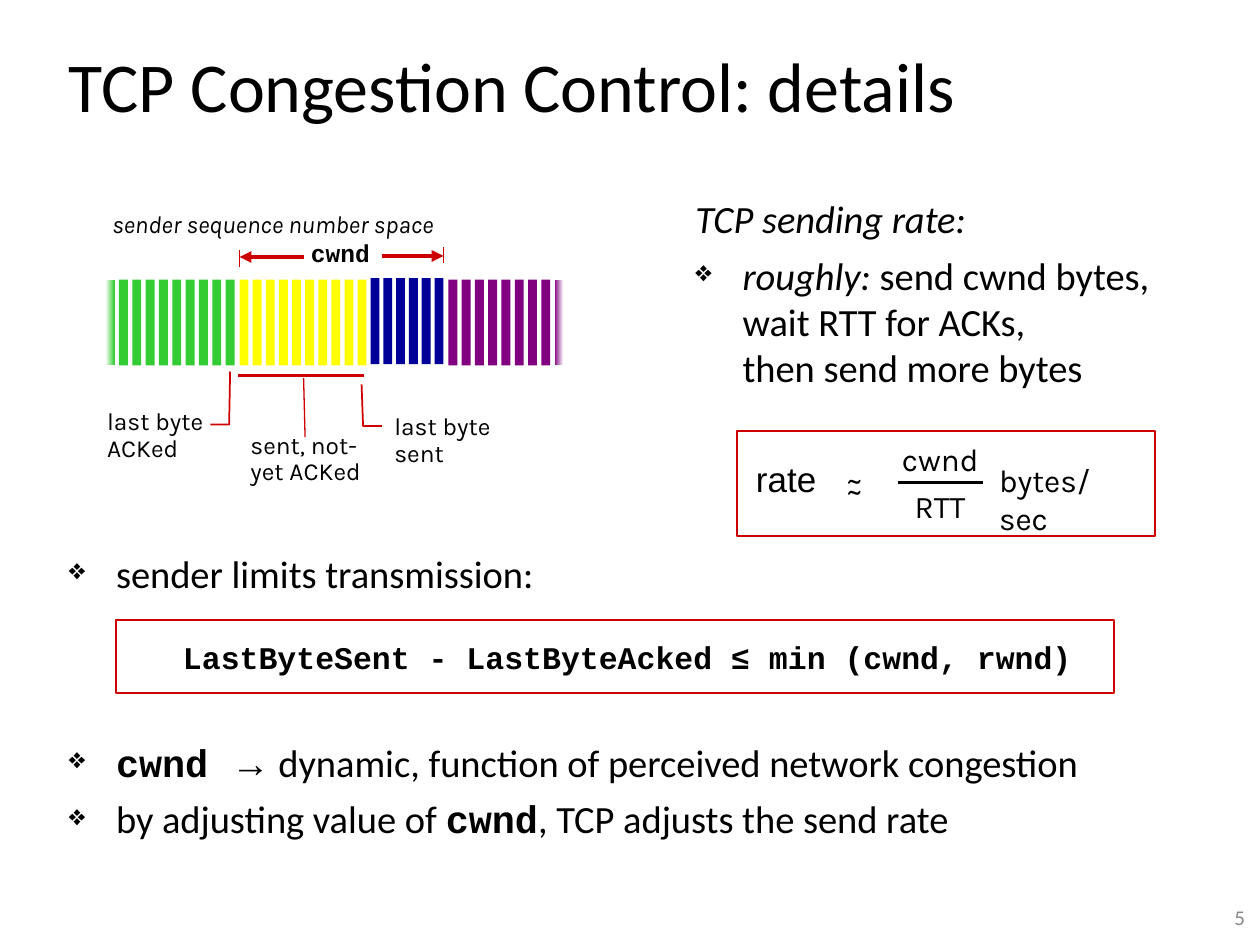
from typing import NamedTuple, Optional

from lxml import etree
from pptx import Presentation
from pptx.dml.color import RGBColor
from pptx.enum.shapes import MSO_CONNECTOR, MSO_SHAPE
from pptx.enum.text import MSO_ANCHOR, PP_ALIGN
from pptx.oxml.ns import qn
from pptx.util import Cm, Pt

RECT = MSO_SHAPE.RECTANGLE
STRAIGHT = MSO_CONNECTOR.STRAIGHT
TOP, MIDDLE = MSO_ANCHOR.TOP, MSO_ANCHOR.MIDDLE
LEFT, CENTER, RIGHT = PP_ALIGN.LEFT, PP_ALIGN.CENTER, PP_ALIGN.RIGHT

COLORS = {
    "text": "000000", "number": "898989", "white": "FFFFFF", "red": "CC0000",
    "green": "33CC33", "yellow": "FFFF00", "blue": "000099", "purple": "800080",
}
BODY, MONO, SANS, LABEL = "Calibri", "Courier New", "Arial", "Karla"
BODY_SIZE = 22
BAR_WIDTH, BAR_HEIGHT = 0.18, 1.73


class Run(NamedTuple):
    text: str  # a newline is a line break
    font: str = BODY
    size: float = BODY_SIZE
    bold: bool = False
    italic: bool = False
    color: str = "text"


class Para(NamedTuple):
    runs: list[Run]
    bullet: bool = False
    before: float = 0
    spacing: float = 1.0
    align: PP_ALIGN = LEFT


class Box(NamedTuple):
    left: float
    top: float
    width: float
    height: float
    paras: list[Para]
    wrap: bool = True
    anchor: MSO_ANCHOR = TOP


class Line(NamedTuple):
    x1: float
    y1: float
    x2: float
    y2: float
    weight: float
    color: str = "red"
    arrow: bool = False


class Band(NamedTuple):
    color: str
    first: float
    last: float
    count: int
    top: float = 5.64
    fade: Optional[str] = None  # the end that fades to white


def label(left: float, top: float, width: float, height: float, *lines: str,
          font: str = LABEL, size: float = 14, bold: bool = False,
          italic: bool = False, spacing: float = 1.0, wrap: bool = False) -> Box:
    """Describe a small box of plain lines in one style."""
    paras = [Para([Run(t, font, size, bold, italic)], spacing=spacing) for t in lines]
    return Box(left, top, width, height, paras, wrap)


BOXES = [
    Box(1.14, 0.64, 21.59, 2.13, [
        Para([Run("TCP Congestion Control: details", size=40)])], anchor=MIDDLE),
    Box(1.14, 11.15, 21.92, 5.99, [
        Para([Run("sender limits transmission:")], True, spacing=0.8),
        Para([Run("cwnd ", MONO, bold=True), Run("→", SANS),
              Run(" dynamic, function of perceived network congestion")],
             True, before=86.5, spacing=0.8),
        Para([Run("by adjusting value of "), Run("cwnd", MONO, bold=True),
              Run(", TCP adjusts the send rate")], True, before=6)]),
    Box(13.77, 3.81, 10.59, 4.78, [
        Para([Run("TCP sending rate:", italic=True)]),
        Para([Run("roughly:", italic=True),
              Run(" send cwnd bytes, wait RTT for ACKs,\nthen send more bytes")],
             True, before=6)]),
    Box(3.07, 12.85, 19.15, 0.91, [
        Para([Run("LastByteSent - LastByteAcked ≤ min (cwnd, rwnd)", MONO, 18, True)],
             spacing=0.85, align=CENTER)]),
    Box(24.08, 17.96, 1.27, 1.07, [
        Para([Run("5", size=12, color="number")], align=RIGHT)], anchor=MIDDLE),
    # sequence number space
    label(2.01, 4.09, 7.52, 0.86, "sender sequence number space", italic=True),
    label(6.02, 4.75, 1.7, 0.79, "cwnd", font=MONO, bold=True, spacing=0.9),
    label(1.91, 8.13, 2.46, 1.32, "last byte", "ACKed", spacing=0.9),
    label(4.8, 8.61, 2.97, 1.32, "sent, not-yet ACKed", spacing=0.9, wrap=True),
    label(7.7, 8.23, 2.97, 1.32, "last byte sent", spacing=0.9, wrap=True),
    # rate formula
    label(14.99, 9.09, 1.73, 1.12, "rate", font=SANS, size=20),
    label(16.81, 9.14, 2.59, 1.02, "~", size=18, wrap=True),
    label(16.81, 9.37, 2.59, 1.02, "~", size=18, wrap=True),
    label(17.93, 8.74, 2.08, 1.02, "cwnd", size=18),
    label(18.19, 9.7, 1.6, 1.02, "RTT", size=18),
    label(19.89, 9.17, 2.8, 1.02, "bytes/sec", size=18, wrap=True),
]
FRAMES = [(2.34, 12.5, 20.12, 1.47), (14.86, 8.69, 8.43, 2.11)]
BANDS = [
    Band("green", 2.13, 4.55, 10, fade="first"),
    Band("yellow", 4.83, 7.21, 10),
    Band("blue", 7.47, 8.76, 6, top=5.61),
    Band("purple", 9.04, 11.18, 9, fade="last"),
]
LINES = [
    Line(4.8, 7.57, 7.34, 7.57, 2.25),
    Line(6.12, 7.62, 6.15, 8.81, 0.75),
    Line(7.7, 5.16, 8.94, 5.16, 2.25, arrow=True),
    Line(8.94, 4.98, 8.94, 5.31, 0.75),
    Line(6.12, 5.18, 4.83, 5.18, 2.25, arrow=True),
    Line(4.83, 5.38, 4.83, 5.03, 0.75),
    Line(18.11, 9.73, 19.81, 9.73, 1.5, "text"),
]
ELBOWS = [
    [(4.64, 7.49), (4.62, 8.56), (4.24, 8.56)],
    [(7.29, 7.75), (7.32, 8.59), (7.7, 8.59)],
]


def rgb(name: str) -> RGBColor:
    return RGBColor.from_string(COLORS[name])


def add_bullet(p) -> None:
    pPr = p._p.get_or_add_pPr()
    pPr.set("marL", str(Cm(0.95)))
    pPr.set("indent", str(Cm(-0.95)))
    color = etree.SubElement(pPr, qn("a:buClr"))
    etree.SubElement(color, qn("a:srgbClr"), val=COLORS["text"])
    etree.SubElement(pPr, qn("a:buSzPct"), val="75000")
    etree.SubElement(pPr, qn("a:buChar"), char="❖")


def add_run(p, run: Run) -> None:
    for i, text in enumerate(run.text.split("\n")):
        if i:
            p.add_line_break()
        r = p.add_run()
        r.text = text
        font = r.font
        font.name, font.size = run.font, Pt(run.size)
        font.bold, font.italic = run.bold, run.italic
        font.color.rgb = rgb(run.color)


def draw_box(s, box: Box) -> None:
    sp = s.shapes.add_textbox(Cm(box.left), Cm(box.top), Cm(box.width), Cm(box.height))
    tf = sp.text_frame
    tf.word_wrap, tf.vertical_anchor = box.wrap, box.anchor
    for i, para in enumerate(box.paras):
        p = tf.add_paragraph() if i else tf.paragraphs[0]
        if para.bullet:
            add_bullet(p)
        p.alignment, p.line_spacing = para.align, para.spacing
        p.space_before = Pt(para.before)
        for run in para.runs:
            add_run(p, run)


def draw_outline(sp) -> None:
    sp.shadow.inherit = False
    sp.fill.background()
    sp.line.color.rgb = rgb("red")
    sp.line.width = Pt(1)


def draw_band(s, band: Band) -> None:
    pitch = (band.last - band.first) / (band.count - 1)
    faded = {"first": 0, "last": band.count - 1}.get(band.fade)
    for i in range(band.count):
        sp = s.shapes.add_shape(RECT, Cm(band.first + i * pitch), Cm(band.top),
                                Cm(BAR_WIDTH), Cm(BAR_HEIGHT))
        sp.shadow.inherit = False
        sp.line.fill.background()
        if i == faded:
            sp.fill.gradient()
            sp.fill.gradient_angle = 0
            ends = ("white", band.color) if i == 0 else (band.color, "white")
            for stop, color in zip(sp.fill.gradient_stops, ends):
                stop.color.rgb = rgb(color)
        else:
            sp.fill.solid()
            sp.fill.fore_color.rgb = rgb(band.color)


def draw_line(s, line: Line) -> None:
    c = s.shapes.add_connector(STRAIGHT, Cm(line.x1), Cm(line.y1), Cm(line.x2), Cm(line.y2))
    c.line.color.rgb = rgb(line.color)
    c.line.width = Pt(line.weight)
    if line.arrow:
        etree.SubElement(c.line._get_or_add_ln(), qn("a:tailEnd"), type="triangle")
    etree.SubElement(c._element.spPr, qn("a:effectLst"))


def draw_elbow(s, points: list[tuple[float, float]]) -> None:
    start, *rest = [(Cm(x), Cm(y)) for x, y in points]
    builder = s.shapes.build_freeform(*start)
    builder.add_line_segments(rest, close=False)
    draw_outline(builder.convert_to_shape())


def main() -> None:
    prs = Presentation()
    prs.slide_width, prs.slide_height = Cm(25.4), Cm(19.05)
    s = prs.slides.add_slide(prs.slide_layouts[6])
    for band in BANDS:
        draw_band(s, band)
    for line in LINES:
        draw_line(s, line)
    for points in ELBOWS:
        draw_elbow(s, points)
    for frame in FRAMES:
        draw_outline(s.shapes.add_shape(RECT, *map(Cm, frame)))
    for box in BOXES:
        draw_box(s, box)
    prs.save("out.pptx")


if __name__ == "__main__":
    main()
